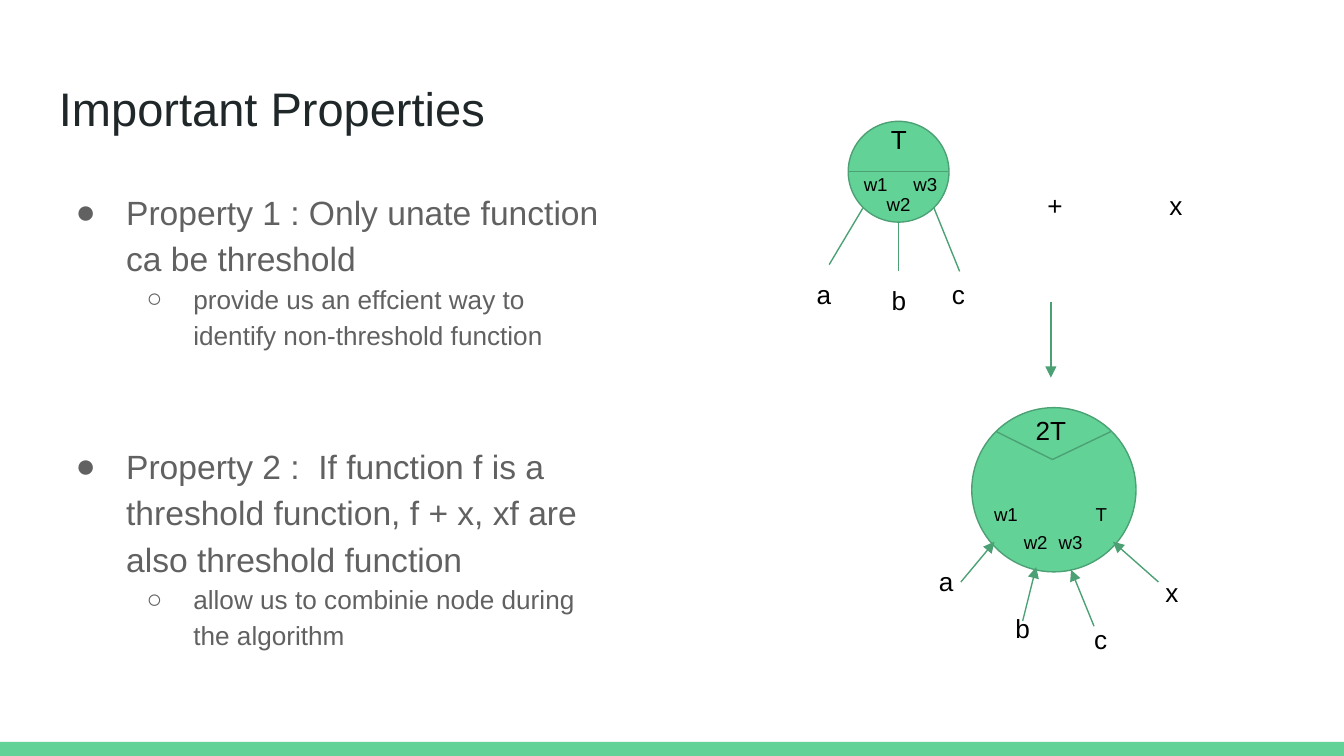
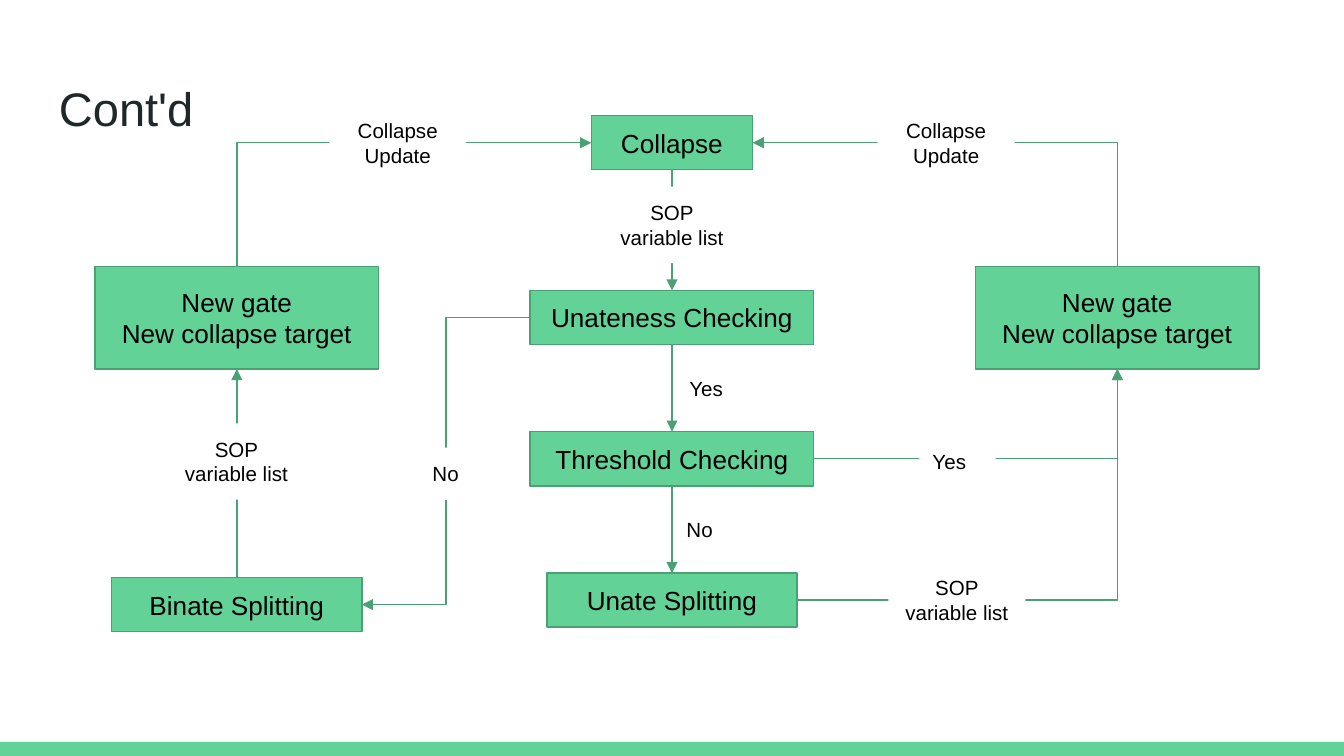
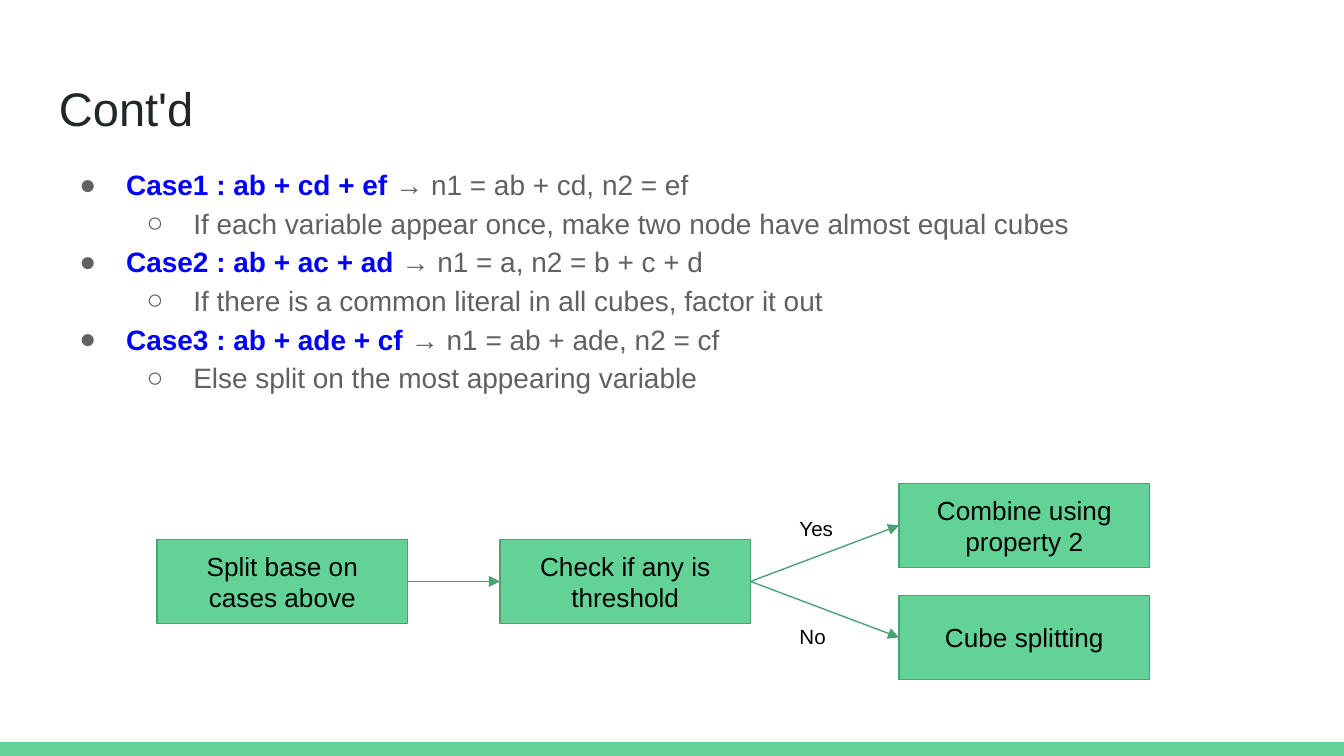
from lxml import etree
from pptx import Presentation
from pptx.dml.color import RGBColor
from pptx.enum.shapes import MSO_CONNECTOR, MSO_SHAPE
from pptx.enum.text import MSO_ANCHOR, PP_ALIGN
from pptx.oxml.ns import qn
from pptx.util import Pt

RECTANGLE, OVAL = MSO_SHAPE.RECTANGLE, MSO_SHAPE.OVAL
STRAIGHT, ELBOW = MSO_CONNECTOR.STRAIGHT, MSO_CONNECTOR.ELBOW
LEFT, CENTER = PP_ALIGN.LEFT, PP_ALIGN.CENTER
TOP, MIDDLE = MSO_ANCHOR.TOP, MSO_ANCHOR.MIDDLE

COLORS = {
    "green": "63D297", "outline": "4BA173", "title": "202729",
    "body": "616161", "accent": "0000FF", "text": "000000", "white": "FFFFFF",
}
FONT = "Arial"
SLIDE_SIZE = (720, 405)
BAND_BOX = (0, 397.5, 720, 7.5)
TITLE_BOX = (24.5, 35.3, 671, 45.4)
INSET = 7.2
BULLETS = ("●", "○")

# Slide 1: paragraphs are (level, accented start, text, space before)
PROPERTIES = [
    (0, "", "Property 1 : Only unate function ca be threshold", 0),
    (1, "", "provide us an effcient way to identify non-threshold function", 0),
    (0, "", "Property 2 :  If function f is a threshold function, "
            "f + x, xf are also threshold function", 48),
    (1, "", "allow us to combinie node during the algorithm", 0),
]
GATES = [(454.4, 65, 54, 54), (520.6, 218.4, 88, 88)]
GATE_LINES = [
    ((462.2, 111.6), (444.2, 141.8)), ((500.4, 111.6), (514.1, 145.4)),
    ((481.5, 119.5), (481.5, 145.4)), ((454.4, 92), (508.4, 92)),
    ((533.5, 231.1), (563.8, 246.2)), ((563.8, 246.2), (595.4, 231.1)),
]
GATE_ARROWS = [
    ((563, 162), (563, 202.3)),
    ((514.8, 311.8), (532.8, 290.2)), ((547.9, 332.6), (555.1, 303.8)),
    ((586.1, 335.5), (573.8, 305.3)), ((620.6, 311.8), (596.2, 290.2)),
]
# Font size, then (width, height) of the label box
LABEL_KINDS = {"input": (14, (26, 32)), "sum": (14, (32, 32)), "weight": (10, (36.7, 26.6))}
# Kind, then (text, centre x, top)
GATE_LABELS = {
    "input": [
        ("T", 481.6, 59), ("a", 441.4, 141.8), ("b", 481.6, 145.4), ("c", 513.4, 141.8),
        ("+", 565.2, 94.3), ("x", 630, 94.3), ("a", 506.9, 295.9), ("b", 547.9, 321.1),
        ("c", 589.7, 326.9), ("x", 627.8, 301.7),
    ],
    "sum": [("2T", 563, 214.6)],
    "weight": [
        ("w1", 469.1, 86.4), ("w2", 481.4, 97.2), ("w3", 495.7, 86.4), ("w1", 538.9, 263.5),
        ("w2", 554.8, 278.6), ("w3", 573.5, 278.6), ("T", 590, 263.5),
    ],
}

# Slide 2: name -> (text, centre x, top, width, height)
LEFT_X, MIDDLE_X, RIGHT_X = 126.9, 360, 598.6
NEW_TARGET = "New gate\nNew collapse target"
FLOW_NODES = {
    "collapse": ("Collapse", MIDDLE_X, 62, 86.4, 29),
    "unateness": ("Unateness Checking", MIDDLE_X, 155.6, 152, 29),
    "threshold": ("Threshold Checking", MIDDLE_X, 231.3, 152, 29),
    "unate": ("Unate Splitting", MIDDLE_X, 307, 134, 29),
    "binate": ("Binate Splitting", LEFT_X, 309.4, 134, 29),
    "left_target": (NEW_TARGET, LEFT_X, 142.7, 152, 55),
    "right_target": (NEW_TARGET, RIGHT_X, 142.7, 152, 55),
}
# (from, side, to, side, route)
FLOW_LINKS = [
    ("collapse", "bottom", "unateness", "top", "straight"),
    ("unateness", "bottom", "threshold", "top", "straight"),
    ("threshold", "bottom", "unate", "top", "straight"),
    ("binate", "top", "left_target", "bottom", "straight"),
    ("left_target", "top", "collapse", "left", "up first"),
    ("right_target", "top", "collapse", "right", "up first"),
    ("unate", "right", "right_target", "bottom", "across first"),
    ("threshold", "right", "right_target", "bottom", "across first"),
    ("unateness", "left", "binate", "right", "two bends"),
]
ANSWER_SIZE, DATA_SIZE = (41, 28), (73.4, 41)
FLOW_ANSWERS = [
    ("No", 360.7, 270), ("No", 224.6, 239.8), ("Yes", 362.2, 194.4), ("Yes", 492.5, 233.3),
]
FLOW_DATA = [
    ("SOP\nvariable list", 323.3, 100), ("SOP\nvariable list", 90, 226.8),
    ("Collapse Update", 176.4, 56.2), ("Collapse Update", 470.2, 56.2),
    ("SOP\nvariable list", 475.9, 301),
]

# Slide 3
CASES = [
    (0, "Case1 : ab + cd + ef", " → n1 = ab + cd, n2 = ef", 0),
    (1, "", "If each variable appear once, make two node have almost equal cubes", 0),
    (0, "Case2 : ab + ac + ad", " → n1 = a, n2 = b + c + d", 0),
    (1, "", "If there is a common literal in all cubes, factor it out", 0),
    (0, "Case3 : ab + ade + cf", " → n1 = ab + ade, n2 = cf", 0),
    (1, "", "Else split on the most appearing variable", 0),
]
STEP_NODES = {
    "split": ("Split base on cases above", 151.3, 289, 134.2, 45),
    "check": ("Check if any is threshold", 335, 289, 134.2, 45),
    "combine": ("Combine using property 2", 548.8, 259, 134.2, 45),
    "cube": ("Cube splitting", 548.8, 319, 134.2, 45),
}
STEP_LINKS = [
    ("split", "right", "check", "left", "straight"),
    ("check", "right", "combine", "left", "straight"),
    ("check", "right", "cube", "left", "straight"),
]
STEP_ANSWERS = [("Yes", 421.2, 270), ("No", 421.2, 327.6)]


def color(name):
    return RGBColor.from_string(COLORS[name])


def add_run(paragraph, text, size, color_name="text", bold=False):
    run = paragraph.add_run()
    run.text = text
    for name, value in {"name": FONT, "size": Pt(size), "bold": bold}.items():
        setattr(run.font, name, value)
    run.font.color.rgb = color(color_name)


def prepare_frame(shape, anchor=TOP):
    frame = shape.text_frame
    settings = {"word_wrap": True, "vertical_anchor": anchor}
    settings.update({f"margin_{side}": Pt(INSET) for side in ("left", "right", "top", "bottom")})
    for name, value in settings.items():
        setattr(frame, name, value)
    return frame


def write_lines(shape, text, size, align=LEFT, anchor=TOP, color_name="text"):
    frame = prepare_frame(shape, anchor)
    for index, line in enumerate(text.split("\n")):
        paragraph = frame.add_paragraph() if index else frame.paragraphs[0]
        paragraph.alignment = align
        add_run(paragraph, line, size, color_name)


def add_text(slide, box, text, size, align=LEFT, color_name="text"):
    shape = slide.shapes.add_textbox(*map(Pt, box))
    write_lines(shape, text, size, align, color_name=color_name)


def add_filled(slide, kind, box, fill="green", outline="outline"):
    shape = slide.shapes.add_shape(kind, *map(Pt, box))
    shape.shadow.inherit = False
    shape.fill.solid()
    shape.fill.fore_color.rgb = color(fill)
    if outline:
        shape.line.color.rgb = color(outline)
        shape.line.width = Pt(0.75)
    else:
        shape.line.fill.background()
    return shape


def add_line(slide, start, end, arrow=True, kind=STRAIGHT):
    connector = slide.shapes.add_connector(kind, *map(Pt, (*start, *end)))
    connector.line.color.rgb = color("outline")
    connector.line.width = Pt(0.75)
    properties = connector.element.spPr
    if arrow:
        etree.SubElement(properties.find(qn("a:ln")), qn("a:tailEnd"), type="triangle")
    etree.SubElement(properties, qn("a:effectLst"))
    return properties


def add_corner(slide, start, end, up_first):
    """Arrow with one bend; one that rises first is laid out flat, then turned by 270 degrees."""
    if up_first:
        center_x, center_y = (start[0] + end[0]) / 2, (start[1] + end[1]) / 2
        half_rise, half_run = (start[1] - end[1]) / 2, (end[0] - start[0]) / 2
        start = (center_x - half_rise, center_y - half_run)
        end = (center_x + half_rise, center_y + half_run)
    properties = add_line(slide, start, end, kind=ELBOW)
    properties.find(qn("a:prstGeom")).set("prst", "bentConnector2")
    if up_first:
        properties.find(qn("a:xfrm")).set("rot", str(270 * 60000))


def side_point(node, side):
    _, center_x, top, width, height = node
    return {
        "top": (center_x, top),
        "bottom": (center_x, top + height),
        "left": (center_x - width / 2, top + height / 2),
        "right": (center_x + width / 2, top + height / 2),
    }[side]


def add_flow(slide, nodes, links):
    for text, center_x, top, width, height in nodes.values():
        shape = add_filled(slide, RECTANGLE, (center_x - width / 2, top, width, height))
        write_lines(shape, text, 14, CENTER, MIDDLE)
    for source, source_side, target, target_side, route in links:
        start = side_point(nodes[source], source_side)
        end = side_point(nodes[target], target_side)
        if route == "straight":
            add_line(slide, start, end)
        elif route == "two bends":
            add_line(slide, start, end, kind=ELBOW)
        else:
            add_corner(slide, start, end, route == "up first")


def add_bullets(slide, box, items, sizes, hangs):
    frame = prepare_frame(slide.shapes.add_textbox(*map(Pt, box)))
    for index, (level, accent, text, before) in enumerate(items):
        paragraph = frame.add_paragraph() if index else frame.paragraphs[0]
        layout = {"level": level, "line_spacing": 1.15, "space_before": Pt(before)}
        for name, value in layout.items():
            setattr(paragraph, name, value)
        if accent:
            add_run(paragraph, accent, sizes[level], "accent", True)
        add_run(paragraph, text, sizes[level], "body")
        properties = paragraph._p.get_or_add_pPr()
        properties.set("marL", str(Pt(36 * (level + 1))))
        properties.set("indent", str(-Pt(hangs[level])))
        bullet_color = etree.SubElement(properties, qn("a:buClr"))
        etree.SubElement(bullet_color, qn("a:srgbClr"), val=COLORS["body"])
        etree.SubElement(properties, qn("a:buFont"), typeface=FONT)
        etree.SubElement(properties, qn("a:buChar"), char=BULLETS[level])


def add_slide(presentation, title):
    slide = presentation.slides.add_slide(presentation.slide_layouts[6])
    add_filled(slide, RECTANGLE, BAND_BOX, outline=None)
    add_text(slide, TITLE_BOX, title, 25.2, color_name="title")
    return slide


def build_properties(presentation):
    slide = add_slide(presentation, "Important Properties")
    add_bullets(slide, (24.5, 92.2, 311, 312), PROPERTIES, (18, 14), (27, 25))
    for box in GATES:
        add_filled(slide, OVAL, box)
    for start, end in GATE_LINES:
        add_line(slide, start, end, arrow=False)
    for start, end in GATE_ARROWS:
        add_line(slide, start, end)
    for kind, labels in GATE_LABELS.items():
        size, (width, height) = LABEL_KINDS[kind]
        for text, center_x, top in labels:
            add_text(slide, (center_x - width / 2, top, width, height), text, size, CENTER)


def build_flow(presentation):
    slide = add_slide(presentation, "Cont'd")
    add_flow(slide, FLOW_NODES, FLOW_LINKS)
    groups = ((FLOW_ANSWERS, ANSWER_SIZE, LEFT), (FLOW_DATA, DATA_SIZE, CENTER))
    for labels, box_size, align in groups:
        for text, left, top in labels:
            shape = add_filled(slide, RECTANGLE, (left, top, *box_size), "white", None)
            write_lines(shape, text, 11, align)


def build_cases(presentation):
    slide = add_slide(presentation, "Cont'd")
    add_bullets(slide, (24.5, 80, 651, 148.3), CASES, (15, 15), (25, 25))
    add_flow(slide, STEP_NODES, STEP_LINKS)
    for text, left, top in STEP_ANSWERS:
        add_text(slide, (left, top, *ANSWER_SIZE), text, 11)


def main():
    presentation = Presentation()
    presentation.slide_width, presentation.slide_height = map(Pt, SLIDE_SIZE)
    for build in (build_properties, build_flow, build_cases):
        build(presentation)
    presentation.save("out.pptx")


if __name__ == "__main__":
    main()
